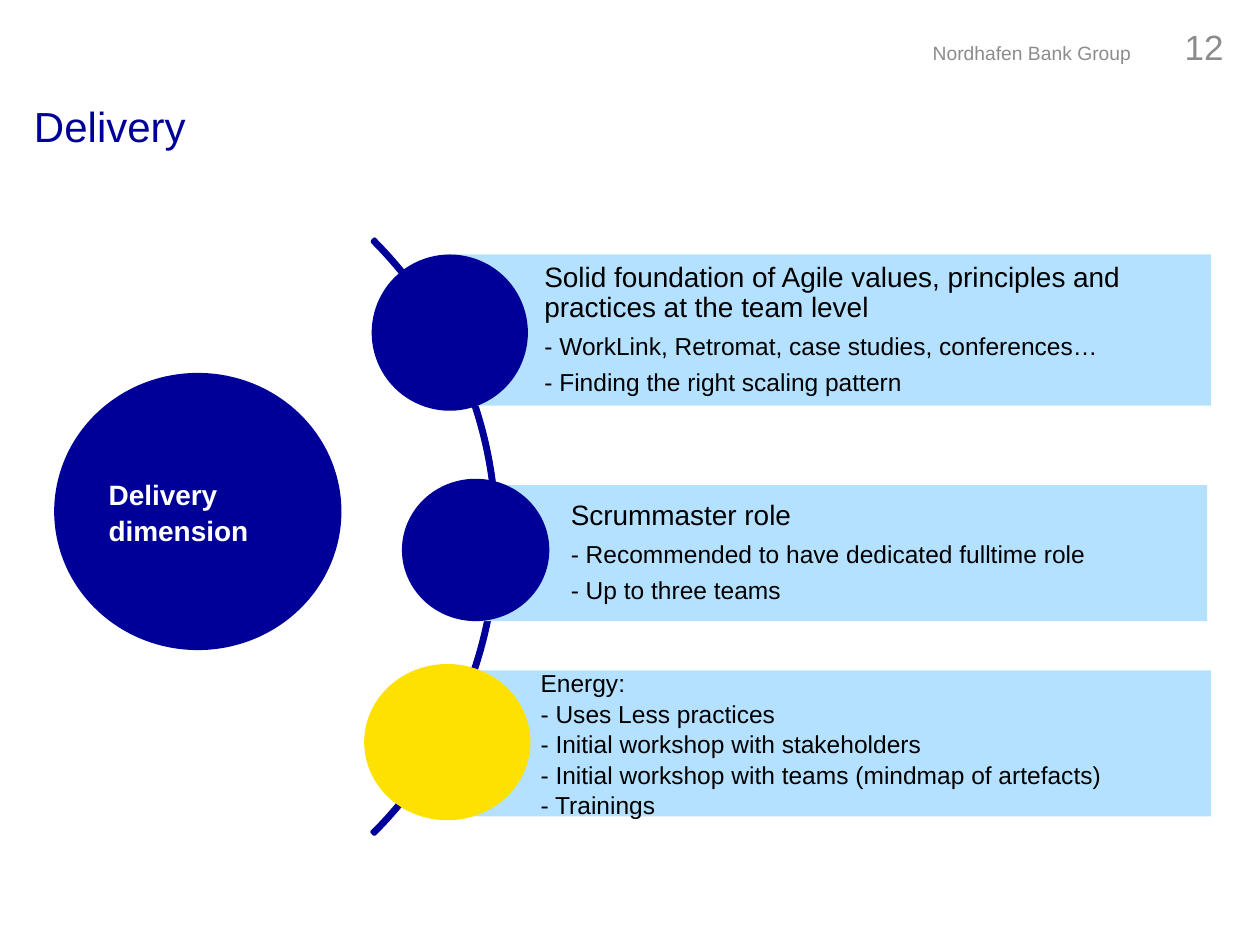
import pptx
import pptx.dml.color
import pptx.enum.shapes
import pptx.enum.text
import pptx.util

SHAPES = pptx.enum.shapes.MSO_SHAPE
ANCHOR = pptx.enum.text.MSO_ANCHOR
ALIGN = pptx.enum.text.PP_ALIGN
NAVY, SKY, YELLOW = "000099", "B4E1FF", "FFE100"
GREY, BLACK, WHITE = "8C8C8C", "000000", "FFFFFF"

deck = pptx.Presentation()
deck.slide_width = pptx.util.Inches(10)
deck.slide_height = pptx.util.Inches(7.5)
CELL = deck.slide_width // 100  # square grid of 100 columns by 75 rows
slide = deck.slides.add_slide(deck.slide_layouts[6])


def add_block(kind, box, fill, insets=(1, 0.5, 1, 0.5), anchor=ANCHOR.MIDDLE):
    """Add a flat shape, or a text box if kind is None; box and insets in cells."""
    left, top, width, height = (round(cells * CELL) for cells in box)
    if kind is None:
        block = slide.shapes.add_textbox(left, top, width, height)
    else:
        block = slide.shapes.add_shape(kind, left, top, width, height)
        block.shadow.inherit = False
        block.line.fill.background()
    if fill:
        block.fill.solid()
        block.fill.fore_color.rgb = pptx.dml.color.RGBColor.from_string(fill)
    else:
        block.fill.background()
    frame = block.text_frame
    frame.word_wrap = True
    frame.vertical_anchor = anchor
    (frame.margin_left, frame.margin_top,
     frame.margin_right, frame.margin_bottom) = (round(cells * CELL) for cells in insets)
    return block


def add_run(paragraph, text, size, color, bold=False):
    run = paragraph.add_run()
    run.text = text
    run.font.name = "Arial"
    run.font.size = pptx.util.Pt(size)
    run.font.bold = bold
    run.font.color.rgb = pptx.dml.color.RGBColor.from_string(color)


# Dimension circle, title and header
dimension = add_block(SHAPES.OVAL, (4.3, 29.6, 22.8, 22), NAVY)
dimension_line = dimension.text_frame.paragraphs[0]
dimension_line.alignment = ALIGN.LEFT
dimension_line.line_spacing = 1.05
add_run(dimension_line, "Delivery dimension", 16, WHITE, bold=True)

title = add_block(None, (2, 7.5, 80.3, 9.9), None, (0.7, 0.5, 1, 0.5), ANCHOR.TOP)
add_run(title.text_frame.paragraphs[0], "Delivery", 24, NAVY)

header = add_block(None, (70.5, 1.7, 27.6, 4), None)
header_line = header.text_frame.paragraphs[0]
header_line.alignment = ALIGN.RIGHT
add_run(header_line, "Nordhafen Bank Group", 11, GREY)
add_run(header_line, "\t12", 20, GREY)

# Arc from -45 to 45 degrees, behind the topics
arc = add_block(SHAPES.BLOCK_ARC, (-27.3, 9.2, 66.8, 66.8), None)
for index, value in enumerate((189, 27, 0.004)):
    arc.adjustments[index] = value
arc.line.color.rgb = pptx.dml.color.RGBColor.from_string(NAVY)
arc.line.width = pptx.util.Pt(2)

# Topics: bar, circle, circle colour, line spacing, gap as share of a line, lines
topics = [
    ((35.3, 20.2, 60.8, 12), (29.5, 20.2, 12.4, 12.4), NAVY, 0.9, 0.4, [
        ("Solid foundation of Agile values, principles and practices at the team level", 16),
        ("- WorkLink, Retromat, case studies, conferences…", 14),
        ("- Finding the right scaling pattern", 14)]),
    ((37.4, 38.5, 58.4, 10.8), (31.9, 38, 11.7, 11.3), NAVY, 0.9, 0.4, [
        ("Scrummaster role", 16),
        ("- Recommended to have dedicated fulltime role", 14),
        ("- Up to three teams", 14)]),
    ((35, 53.2, 61.1, 11.6), (28.9, 52.7, 13.2, 12.4), YELLOW, 1.04, 0, [
        ("Energy:", 14),
        ("- Uses Less practices", 14),
        ("- Initial workshop with stakeholders", 14),
        ("- Initial workshop with teams (mindmap of artefacts)", 14),
        ("- Trainings", 14)]),
]
for bar_box, circle_box, circle_color, spacing, gap, lines in topics:
    bar = add_block(SHAPES.RECTANGLE, bar_box, SKY, (7.9, 0.4, 0.4, 0.4))
    for number, (text, size) in enumerate(lines):
        frame = bar.text_frame
        line = frame.add_paragraph() if number else frame.paragraphs[0]
        line.alignment = ALIGN.LEFT
        line.line_spacing = spacing
        line.space_after = pptx.util.Pt(gap * size)
        add_run(line, text, size, BLACK)
    add_block(SHAPES.OVAL, circle_box, circle_color)

deck.save("out.pptx")
